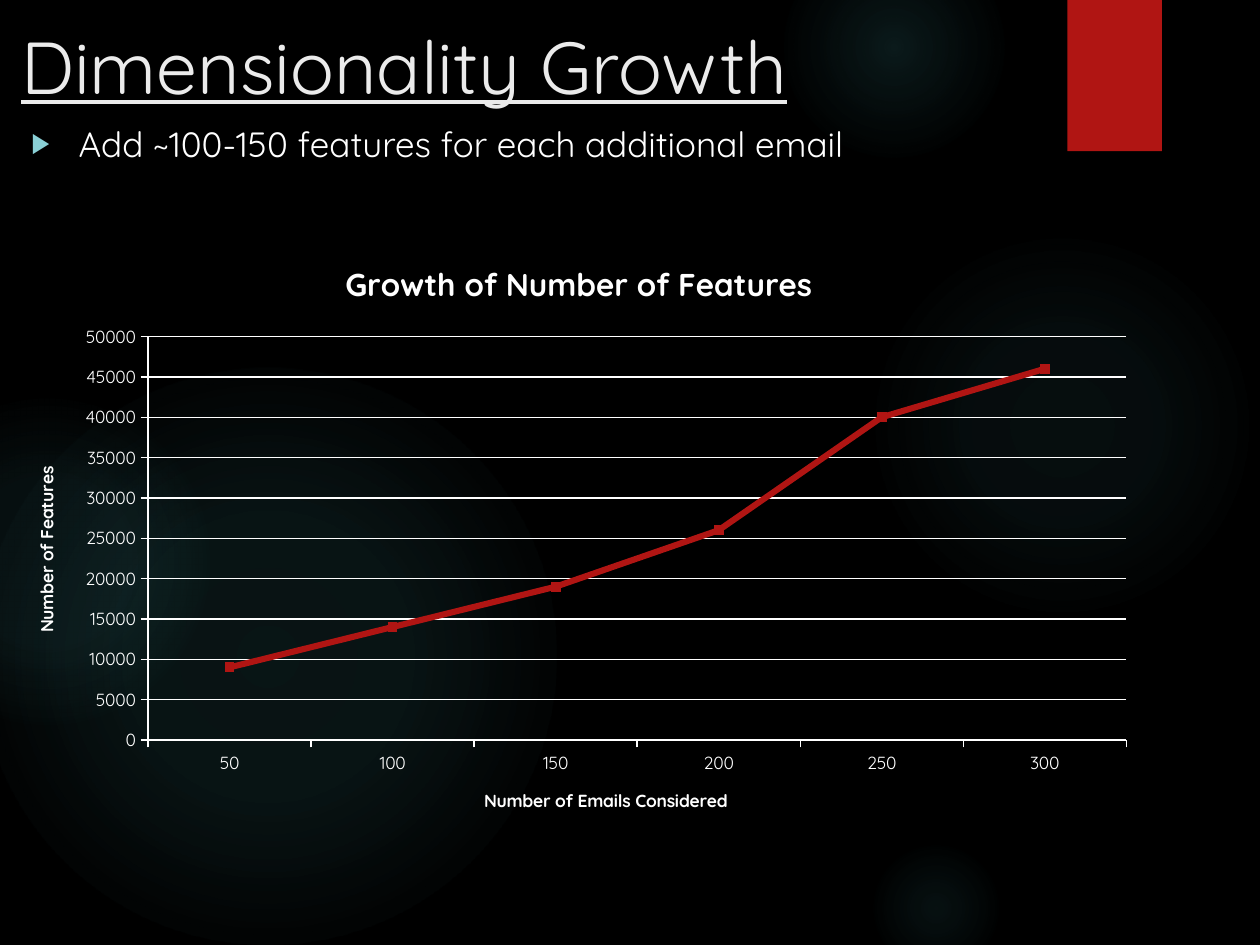
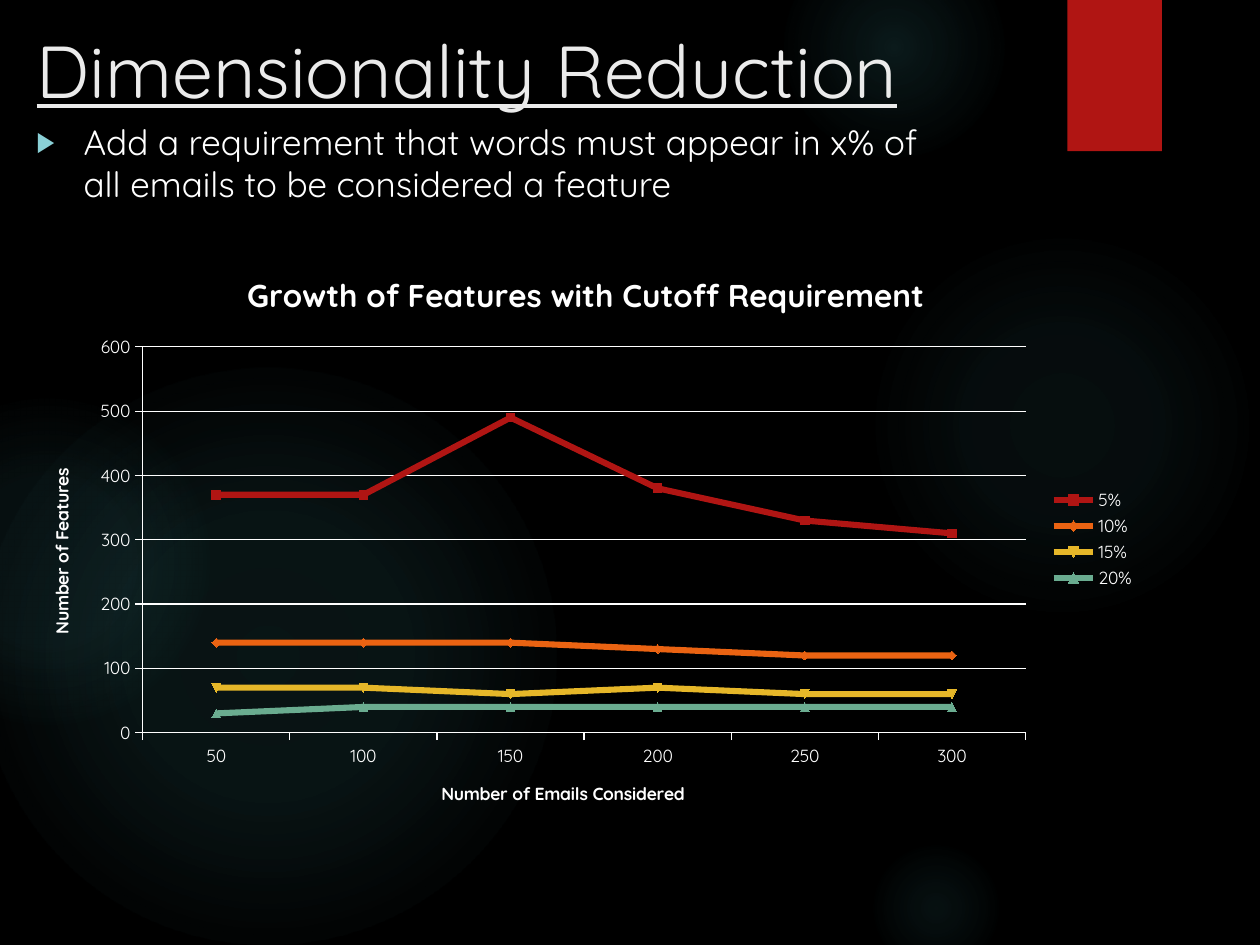
from pptx import Presentation
from pptx.chart.data import CategoryChartData
from pptx.dml.color import RGBColor
from pptx.enum.chart import XL_CHART_TYPE, XL_LEGEND_POSITION, XL_TICK_MARK
from pptx.enum.shapes import MSO_SHAPE
from pptx.enum.text import MSO_ANCHOR, MSO_AUTO_SIZE, PP_ALIGN
from pptx.oxml import parse_xml
from pptx.oxml.ns import nsdecls
from pptx.util import Pt

LINE = XL_CHART_TYPE.LINE_MARKERS
RIGHT = XL_LEGEND_POSITION.RIGHT
OUT, NONE = XL_TICK_MARK.OUTSIDE, XL_TICK_MARK.NONE
OVAL, RECT = MSO_SHAPE.OVAL, MSO_SHAPE.RECTANGLE
TOP, LEFT = MSO_ANCHOR.TOP, PP_ALIGN.LEFT
FIXED = MSO_AUTO_SIZE.NONE

FACE = "Quicksand"
BLACK, WHITE, PALE = "000000", "FFFFFF", "EBEBEB"
RED, ORANGE, GOLD, GREEN = "B01513", "EA6312", "E6B729", "6AAC90"
GLOW, MARK = "50B9C1", "8AD0D6"

HEAD = {"name": FACE, "size": Pt(42), "underline": True, "bold": False}
BODY = {"name": FACE, "size": Pt(20)}
TITLE = {"name": FACE, "size": Pt(18), "bold": True}
LABEL = {"name": FACE, "size": Pt(10), "bold": True}
TICK = {"name": FACE, "size": Pt(10), "bold": False}
FRAME = {"word_wrap": True, "auto_size": FIXED, "vertical_anchor": TOP}

GLOWS = [
    (496, 132, 222, ((0, 7), (36, 6), (69, 0))),
    (448, -36, 126, ((0, 14), (36, 7), (73, 0))),
    (496, 480, 78, ((0, 9), (36, 5), (66, 0))),
    (-12, 210, 330, ((0, 11), (36, 10), (75, 0))),
    (-66, 228, 186, ((0, 8), (36, 8), (72, 0))),
]
COUNTS = ["50", "100", "150", "200", "250", "300"]


def rgb(code):
    return RGBColor.from_string(code)


def box(*spans):
    return [Pt(span) for span in spans]


def apply(item, style):
    for key, value in style.items():
        setattr(item, key, value)


def dress(font, style, color=WHITE):
    apply(font, style)
    font.color.rgb = rgb(color)


def paint(part, color):
    part.fill.solid()
    part.fill.fore_color.rgb = rgb(color)


def stroke(line, color, width):
    line.color.rgb = rgb(color)
    line.width = Pt(width)


def add_glow(slide, left, top, size, stops):
    shape = slide.shapes.add_shape(OVAL, *box(left, top, size, size))
    shape.shadow.inherit = False
    shape.line.fill.background()
    shape.fill.gradient()
    steps = "".join(
        f'<a:gs pos="{pos * 1000}"><a:srgbClr val="{GLOW}">'
        f'<a:alpha val="{alpha * 1000}"/></a:srgbClr></a:gs>'
        for pos, alpha in stops)
    blend = parse_xml(
        f'<a:gradFill {nsdecls("a")} rotWithShape="1"><a:gsLst>{steps}</a:gsLst>'
        '<a:path path="circle"><a:fillToRect l="50000" t="50000" '
        'r="50000" b="50000"/></a:path></a:gradFill>')
    old = shape.element.spPr.find("{*}gradFill")
    old.getparent().replace(old, blend)


def add_flag(slide):
    shape = slide.shapes.add_shape(RECT, *box(610, 0, 54, 86.4))
    shape.shadow.inherit = False
    paint(shape, RED)
    shape.line.fill.background()
    shape.element.spPr.find("{*}effectLst").append(parse_xml(
        f'<a:outerShdw {nsdecls("a")} blurRad="{Pt(3)}" dist="{Pt(2)}" '
        f'dir="5400000" rotWithShape="0"><a:srgbClr val="{BLACK}">'
        '<a:alpha val="45000"/></a:srgbClr></a:outerShdw>'))


def add_slide(deck, text, left, top):
    slide = deck.slides.add_slide(deck.slide_layouts[5])
    paint(slide.background, BLACK)
    for glow in GLOWS:
        add_glow(slide, *glow)
    add_flag(slide)
    head = slide.shapes.title
    head.element.getparent().append(head.element)
    places = zip(("left", "top", "width", "height"), box(left, top, 556, 110))
    apply(head, dict(places))
    write(head, text, HEAD, PALE)
    return slide


def write(shape, text, style, color):
    frame = shape.text_frame
    apply(frame, FRAME)
    para = frame.paragraphs[0]
    para.alignment = LEFT
    run = para.add_run()
    run.text = text
    dress(run.font, style, color)
    return para


def add_point(slide, text, left, top):
    shape = slide.shapes.add_textbox(*box(left, top, 528.5, 330.5))
    props = write(shape, text, BODY, WHITE)._p.get_or_add_pPr()
    props.set("marL", str(Pt(27)))
    props.set("indent", str(Pt(-27)))
    for bit in (f'buClr {nsdecls("a")}><a:srgbClr val="{MARK}"/></a:buClr',
                f'buSzPct {nsdecls("a")} val="80000"/',
                f'buFont {nsdecls("a")} typeface="Arial"/',
                f'buChar {nsdecls("a")} char="▶"/'):
        props.append(parse_xml(f"<a:{bit}>"))


def set_title(item, text, style):
    frame = item.text_frame
    frame.text = text
    dress(frame.paragraphs[0].runs[0].font, style)


def set_axis(axis, text):
    set_title(axis.axis_title, text, LABEL)
    apply(axis, {"major_tick_mark": OUT, "minor_tick_mark": NONE})
    stroke(axis.format.line, WHITE, 0.75)
    dress(axis.tick_labels.font, TICK)


def add_graph(slide, place, text, rows, top, step):
    data = CategoryChartData()
    data.categories = COUNTS
    for name, values, _ in rows:
        data.add_series(name, values)
    chart = slide.shapes.add_chart(LINE, *box(*place), data).chart
    dress(chart.font, TICK)
    set_title(chart.chart_title, text, TITLE)
    chart.chart_title.include_in_layout = False
    set_axis(chart.category_axis, "Number of Emails Considered")
    axis = chart.value_axis
    set_axis(axis, "Number of Features")
    apply(axis, {"minimum_scale": 0, "maximum_scale": top,
                 "major_unit": step, "has_major_gridlines": True})
    stroke(axis.major_gridlines.format.line, WHITE, 0.75)
    chart.plots[0].vary_by_categories = False
    for line, (_, _, color) in zip(chart.plots[0].series, rows):
        line.smooth = False
        stroke(line.format.line, color, 3.5)
        paint(line.marker.format, color)
        stroke(line.marker.format.line, color, 0.75)
    chart.has_legend = len(rows) > 1
    if chart.has_legend:
        apply(chart.legend, {"position": RIGHT, "include_in_layout": False})
        dress(chart.legend.font, TICK)


def main():
    deck = Presentation()
    deck.slide_width, deck.slide_height = box(720, 540)

    growth = add_slide(deck, "Dimensionality Growth", 5, 8.6)
    add_point(growth, "Add ~100-150 features for each additional email", 10.8, 66.2)
    add_graph(growth, (5, 135.4, 651.6, 343.4), "Growth of Number of Features",
              [("Series 1", (9000, 14000, 19000, 26000, 40000, 46000), RED)],
              50000, 5000)

    cut = add_slide(deck, "Dimensionality Reduction", 13.7, 10.8)
    add_point(cut, "Add a requirement that words must appear in x% of all "
              "emails to be considered a feature", 13.7, 65.5)
    add_graph(cut, (13.7, 141.8, 642.2, 332.6),
              "Growth of Features with Cutoff Requirement",
              [("5%", (370, 370, 490, 380, 330, 310), RED),
               ("10%", (140, 140, 140, 130, 120, 120), ORANGE),
               ("15%", (70, 70, 60, 70, 60, 60), GOLD),
               ("20%", (30, 40, 40, 40, 40, 40), GREEN)],
              600, 100)

    deck.save("out.pptx")


if __name__ == "__main__":
    main()
